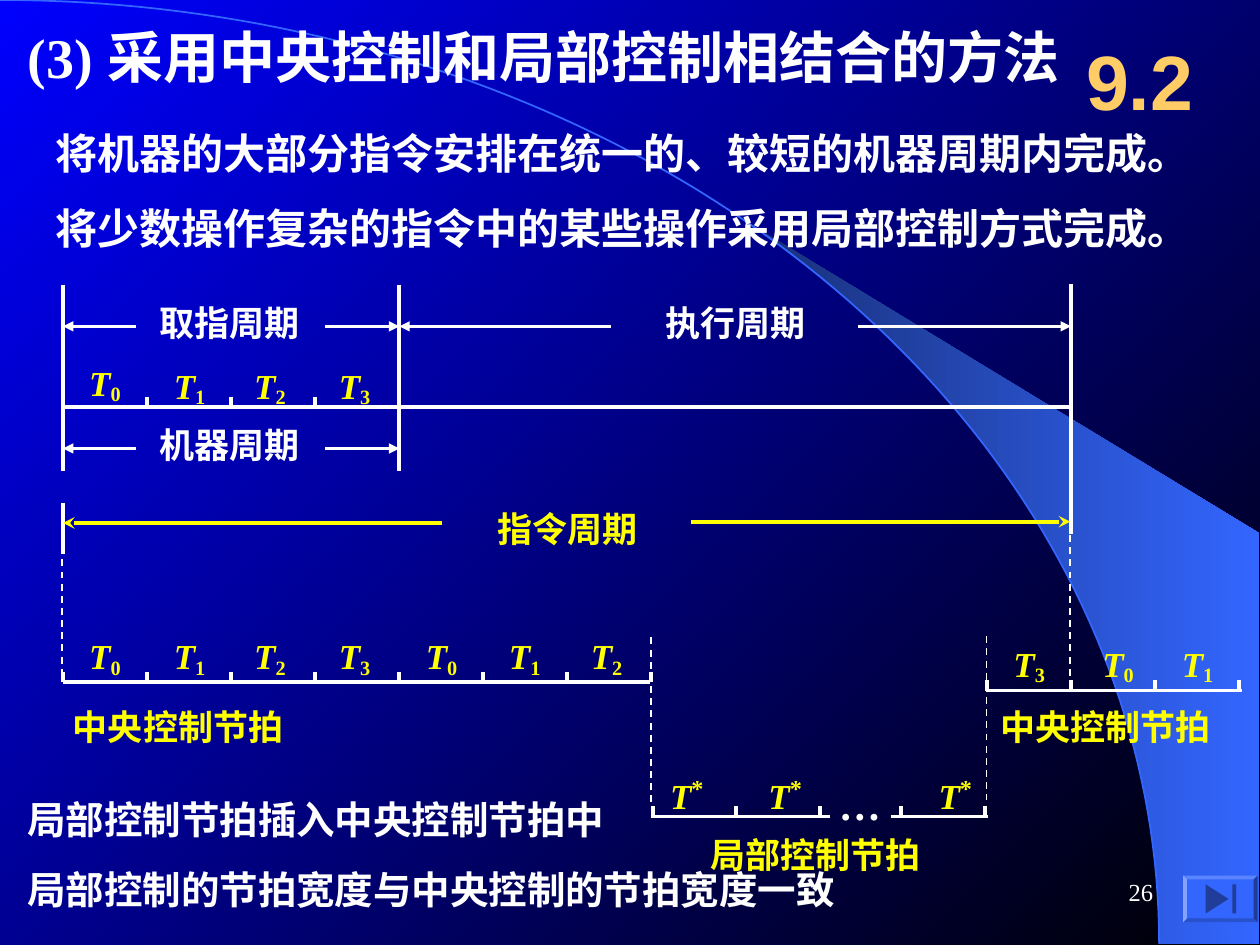
"""Build the slide on combining central and local control, with its timing diagram."""
import math

import lxml.etree
import pptx
import pptx.dml.color
import pptx.enum.dml
import pptx.enum.shapes
import pptx.enum.text
import pptx.oxml.ns
import pptx.util

Pt = pptx.util.Pt
Shape = pptx.enum.shapes.MSO_SHAPE
Align = pptx.enum.text.PP_ALIGN
Anchor = pptx.enum.text.MSO_ANCHOR
AutoSize = pptx.enum.text.MSO_AUTO_SIZE
qn = pptx.oxml.ns.qn
COLORS = {"white": "FFFFFF", "yellow": "FFFF00", "gold": "FFCC66", "blue": "0000FF",
          "black": "000000", "navy": "182F76", "azure": "3366FF", "icon": "1F3D99"}
RGB = {name: pptx.dml.color.RGBColor.from_string(code) for name, code in COLORS.items()}
LEFT, STEP = 36, 48


def write(box, lines, size, color, frame_format=None, para_format=None, font_format=None):
    frame = box.text_frame
    frame_values = {"word_wrap": False, "auto_size": AutoSize.SHAPE_TO_FIT_TEXT,
                    "vertical_anchor": Anchor.TOP}
    for key, value in {**frame_values, **(frame_format or {})}.items():
        setattr(frame, key, value)
    for index, line in enumerate(lines):
        para = frame.add_paragraph() if index else frame.paragraphs[0]
        if box.is_placeholder:
            properties = para._p.get_or_add_pPr()
            properties.set("marL", "0")
            properties.set("indent", "0")
            lxml.etree.SubElement(properties, qn("a:buNone"))
        para_values = {"alignment": Align.LEFT, "space_before": Pt(0), **(para_format or {})}
        if index == 0:
            para_values["space_before"] = Pt(0)
        for key, value in para_values.items():
            setattr(para, key, value)
        span = para.add_run()
        span.text = line
        font_values = {"name": "Times New Roman", "size": Pt(size), "bold": True}
        for key, value in {**font_values, **(font_format or {})}.items():
            setattr(span.font, key, value)
        span.font.color.rgb = RGB[color]


def draw_line(x1, y1, x2, y2, color="white", width=2.25, dash=None, arrow=None):
    connector = page.shapes.add_connector(
        pptx.enum.shapes.MSO_CONNECTOR.STRAIGHT, Pt(x1), Pt(y1), Pt(x2), Pt(y2))
    connector.line.color.rgb = RGB[color]
    connector.line.width = Pt(width)
    if dash:
        connector.line.dash_style = dash
    if arrow:
        lxml.etree.SubElement(connector.line._get_or_add_ln(), qn("a:tailEnd"), type=arrow)
    lxml.etree.SubElement(connector.element.spPr, qn("a:effectLst"))


deck = pptx.Presentation()
deck.slide_width, deck.slide_height = Pt(720), Pt(540)
page = deck.slides.add_slide(deck.slide_layouts[1])

backdrop = page.background.fill
backdrop.gradient()
backdrop.gradient_angle = 315
for stop, color in zip(backdrop.gradient_stops, ("blue", "black")):
    stop.color.rgb = RGB[color]

arc = [(662.4 * math.sin(math.radians(angle)), 539.3 * (1 - math.cos(math.radians(angle))))
       for angle in range(91)]
outlines = {"band": arc[40:] + [(719.3, 539.3), (719.3, 304.6)], "arc": arc}
for name, points in outlines.items():
    (start_x, start_y), *rest = [(Pt(x), Pt(y)) for x, y in points]
    builder = page.shapes.build_freeform(start_x, start_y)
    builder.add_line_segments(rest, close=name == "band")
    outline = builder.convert_to_shape()
    outline.shadow.inherit = False
    if name == "band":
        outline.fill.gradient()
        outline.fill.gradient_angle = 0
        for stop, color in zip(outline.fill.gradient_stops, ("navy", "azure")):
            stop.color.rgb = RGB[color]
        outline.line.fill.background()
    else:
        outline.fill.background()
        outline.line.color.rgb = RGB["azure"]
        outline.line.width = Pt(1)

title, body = page.placeholders
placeholders = [
    (title, (8.64, 9.36, 630, 46), ["(3) 采用中央控制和局部控制相结合的方法"], 32, {}),
    (body, (24.5, 54.7, 662.4, 93.6),
     ["将机器的大部分指令安排在统一的、较短的机器周期内完成。",
      "将少数操作复杂的指令中的某些操作采用局部控制方式完成。"], 24, {"line_spacing": 1.5}),
]
for box, place, lines, size, para_format in placeholders:
    box.left, box.top, box.width, box.height = map(Pt, place)
    write(box, lines, size, "white", para_format=para_format)
    box.element.getparent().append(box.element)

dash = pptx.enum.dml.MSO_LINE.DASH
for x, top, bottom in [(372.2, 364.3, 458.6), (563.8, 363.6, 457.2),
                       (611.6, 298.8, 388), (35.6, 298.8, 383.8)]:
    draw_line(x, top, x, bottom, width=1, dash=dash)

for x, top, bottom in [(LEFT, 162.7, 269.3), (227.8, 162.7, 269.3),
                       (612, 162, 305.3), (LEFT, 287.3, 316.8)]:
    draw_line(x, top, x, bottom)

axes = [
    (36, 612, 232.6, [LEFT + STEP * i for i in range(1, 4)]),
    (36, 371.5, 389.9, [LEFT + STEP * i for i in range(8)]),
    (563.8, 709.9, 394.6, [LEFT + STEP * i for i in range(11, 15)]),
    (372.2, 474.5, 466.6, [373, 420.5, 468.7]),
    (509, 564.5, 466.6, [514.8, 563]),
]
for start, end, y, ticks in axes:
    draw_line(start, y, end, y)
    for x in ticks:
        draw_line(x, y - 6, x, y)

for start, end, y in [(77.8, 36, 186.5), (185.8, 228.2, 186.5), (349.2, 228.2, 186.5),
                      (490.3, 612, 186.5), (77.8, 36, 256.3), (185.8, 228.2, 256.3)]:
    draw_line(start, y, end, y, width=1.5, arrow="triangle")
for start, end, y in [(252.7, 36, 298.8), (394.6, 611.6, 298.1)]:
    draw_line(start, y, end, y, color="yellow", arrow="stealth")

beat_rows = [
    (203, [(43.9, "0")]),
    (204.5, [(92.2, "1"), (138.2, "2"), (186.5, "3")]),
    (359.3, [(43.9, "0"), (92.2, "1"), (138.2, "2"), (186.5, "3"),
             (236.2, "0"), (283.7, "1"), (330.5, "2")]),
    (363.6, [(572, "3"), (622.8, "0"), (668.2, "1")]),
    (435.2, [(375.8, "*"), (432, "*"), (529.2, "*")]),
]
for top, beats in beat_rows:
    for left, mark in beats:
        star = mark == "*"
        width, height = (40, 36) if star else (32.4, 32.4)
        box = page.shapes.add_textbox(Pt(left), Pt(top), Pt(width), Pt(height))
        write(box, ["T"], 20, "yellow", font_format={"italic": True})
        span = box.text_frame.paragraphs[0].add_run()
        span.text = mark
        script_format = {"name": "Times New Roman", "size": Pt(24 if star else 20),
                         "bold": True, "italic": False}
        for key, value in script_format.items():
            setattr(span.font, key, value)
        span.font.color.rgb = RGB["yellow"]
        span._r.get_or_add_rPr().set("baseline", "30000" if star else "-15000")

wrapped = {"word_wrap": True}
centred = {"word_wrap": True, "auto_size": AutoSize.NONE, "vertical_anchor": Anchor.MIDDLE}
labels = [
    (["取指周期"], (84.2, 168.5, 94.3, 31.7), 20, "white", {}, {}, {}),
    (["执行周期"], (373, 168.5, 94.3, 31.7), 20, "white", {}, {}, {}),
    (["机器周期"], (84.2, 238.7, 94.3, 31.7), 20, "white", {}, {}, {}),
    (["指令周期"], (277.2, 286.6, 94.3, 31.7), 20, "yellow", {}, {}, {}),
    (["中央控制节拍"], (34.6, 399.6, 134.6, 31.7), 20, "yellow", {}, {}, {}),
    (["中央控制节拍"], (564.5, 399.6, 134.6, 31.7), 20, "yellow", {}, {}, {}),
    (["局部控制节拍"], (398.9, 473, 134.6, 31.7), 20, "yellow", {}, {}, {}),
    (["…"], (472.3, 441.4, 56.9, 36), 24, "white", wrapped, {}, {}),
    (["局部控制节拍插入中央控制节拍中", "局部控制的节拍宽度与中央控制的节拍宽度一致"],
     (8.64, 451.4, 510.5, 74.2), 22, "white", wrapped, {"space_before": Pt(13.8)}, {}),
    (["9.2"], (606.2, 12.2, 90, 66.2), 44, "gold", centred,
     {"alignment": Align.CENTER}, {"name": "Arial"}),
    (["26"], (516.2, 491.8, 149.8, 36), 14, "white", centred,
     {"alignment": Align.RIGHT}, {"bold": False}),
]
for lines, place, size, color, *formats in labels:
    write(page.shapes.add_textbox(*map(Pt, place)), lines, size, color, *formats)

button_parts = [
    (Shape.BEVEL, (676.1, 500.4, 42.5, 26.6), "azure", 0),
    (Shape.ISOSCELES_TRIANGLE, (687.2, 507.2, 16.6, 13), "icon", 90),
    (Shape.RECTANGLE, (704.2, 505.4, 2.2, 16.6), "icon", 0),
]
for kind, place, color, turn in button_parts:
    part = page.shapes.add_shape(kind, *map(Pt, place))
    part.shadow.inherit = False
    part.fill.solid()
    part.fill.fore_color.rgb = RGB[color]
    part.line.fill.background()
    part.rotation = turn
    if kind == Shape.BEVEL:
        part.adjustments[0] = 0.08

deck.save("out.pptx")
